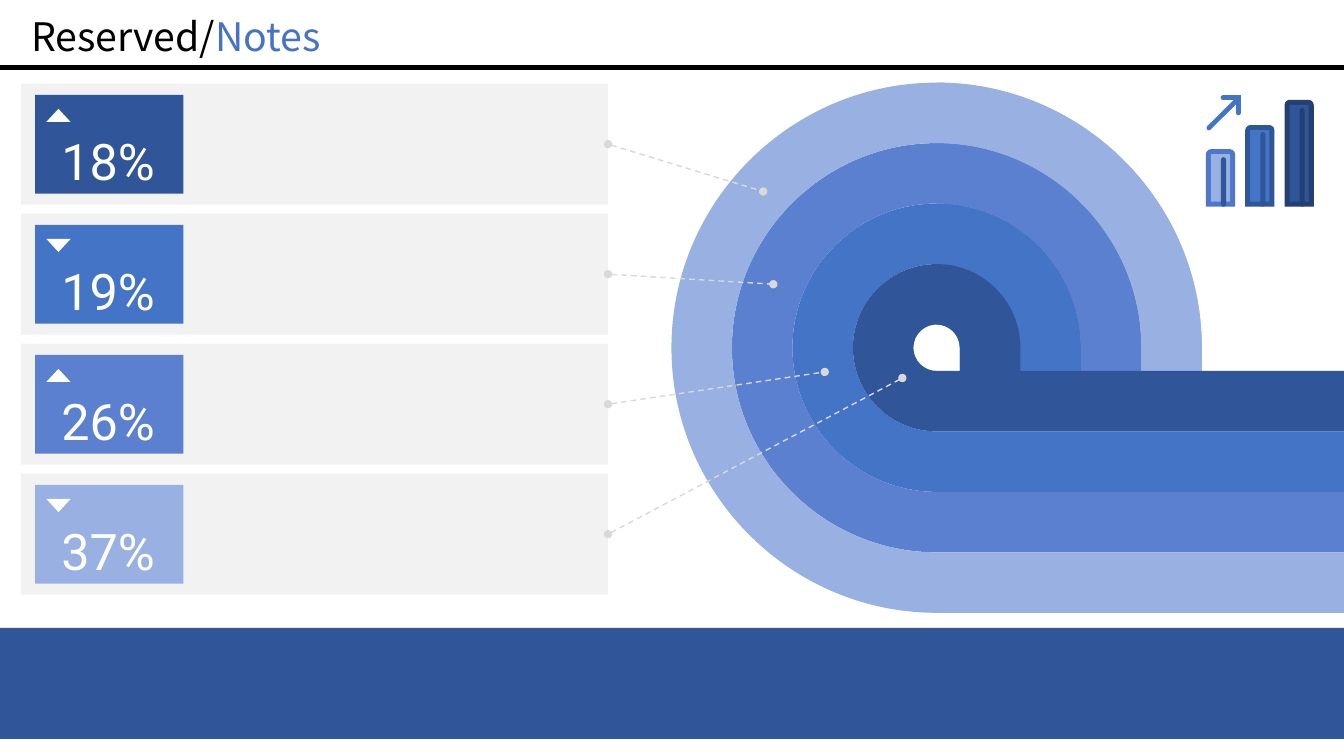
"""Build the Reserved/Notes slide: four percentage cards linked to nested loop bands."""
import lxml.etree
import pptx
import pptx.dml.color
import pptx.enum.dml
import pptx.enum.shapes
import pptx.enum.text
import pptx.oxml.ns
import pptx.util

Inches = pptx.util.Inches
RGBColor = pptx.dml.color.RGBColor
Shape = pptx.enum.shapes.MSO_SHAPE
qn = pptx.oxml.ns.qn

BLACK = RGBColor(0x00, 0x00, 0x00)
WHITE = RGBColor(0xFF, 0xFF, 0xFF)
CARD_GREY = RGBColor(0xF2, 0xF2, 0xF2)
LEADER_GREY = RGBColor(0xD9, 0xD9, 0xD9)
NAVY = RGBColor(0x30, 0x55, 0x98)
BLUE = RGBColor(0x44, 0x74, 0xC5)
PERIWINKLE = RGBColor(0x5B, 0x80, 0xD0)
PALE = RGBColor(0x99, 0xB0, 0xE3)
FRAME_DARK = RGBColor(0x24, 0x40, 0x72)
FRAME_MID = RGBColor(0x2F, 0x56, 0x98)
FRAME_LIGHT = RGBColor(0x4E, 0x76, 0xCF)

SLIDE_WIDTH = 13.33
ICON_STROKE = 3.4
LOOP_X, LOOP_Y = 9.29, 3.45
HOLE_RADIUS, BAND_WIDTH = 0.23, 0.6
ARM_END = LOOP_Y + HOLE_RADIUS
CURVE_PULL = 0.55
CARD_TOP, CARD_STEP = 0.83, 1.29
COMPASS = [(1, 0), (0, -1), (-1, 0), (0, 1)]

CARDS = [
    ("18%", NAVY, False, (7.57, 1.9)),
    ("19%", BLUE, True, (7.67, 2.82)),
    ("26%", PERIWINKLE, False, (8.18, 3.69)),
    ("37%", PALE, True, (8.95, 3.75)),
]
BARS = [
    (1.48, PALE, FRAME_LIGHT, 1.56, FRAME_MID),
    (1.24, BLUE, FRAME_MID, 1.31, FRAME_MID),
    (0.99, NAVY, FRAME_DARK, 1.07, FRAME_DARK),
]


def add_block(slide, kind, left, top, width, height, color):
    """Add a filled preset shape without outline."""
    block = slide.shapes.add_shape(
        kind, Inches(left), Inches(top), Inches(width), Inches(height))
    block.shadow.inherit = False
    block.fill.solid()
    block.fill.fore_color.rgb = color
    block.line.fill.background()
    return block


def add_outline(slide, points, close):
    """Add a freeform through points given in inches."""
    corners = [(Inches(x), Inches(y)) for x, y in points]
    builder = slide.shapes.build_freeform(*corners[0], scale=1.0)
    builder.add_line_segments(corners[1:], close=close)
    outline = builder.convert_to_shape()
    outline.shadow.inherit = False
    return outline


def add_curved(slide, pieces, color):
    """Add a filled outline whose pieces of 3n + 1 points are chains of curves."""
    points = [point for piece in pieces for point in piece]
    outline = add_outline(slide, points, True)
    outline.fill.solid()
    outline.fill.fore_color.rgb = color
    outline.line.fill.background()
    segments = list(outline._element.iter(qn("a:moveTo"), qn("a:lnTo")))
    position = 0
    for piece in pieces:
        for first in range(position + 1, position + len(piece), 3):
            curve = lxml.etree.Element(qn("a:cubicBezTo"))
            segments[first].addprevious(curve)
            for segment in segments[first:first + 3]:
                curve.append(segment[0])
                segment.getparent().remove(segment)
        position += len(piece)


def add_line(slide, start, end, color, weight):
    """Add a straight connector without shadow."""
    line = slide.shapes.add_connector(
        pptx.enum.shapes.MSO_CONNECTOR.STRAIGHT,
        Inches(start[0]), Inches(start[1]), Inches(end[0]), Inches(end[1]))
    line.line.color.rgb = color
    line.line.width = pptx.util.Pt(weight)
    lxml.etree.SubElement(line._element.spPr, qn("a:effectLst"))
    return line


def add_title(slide):
    """Fill the title and draw the rule under it."""
    title = slide.shapes.title
    title.left, title.top = Inches(0.21), Inches(0.07)
    title.width, title.height = Inches(4.75), Inches(0.57)
    frame = title.text_frame
    frame.word_wrap = False
    frame.auto_size = pptx.enum.text.MSO_AUTO_SIZE.NONE
    frame.vertical_anchor = pptx.enum.text.MSO_ANCHOR.MIDDLE
    heading = frame.paragraphs[0]
    heading.alignment = pptx.enum.text.PP_ALIGN.LEFT
    heading.font.size = pptx.util.Pt(28)
    heading.font.name = "Noto Sans CJK SC"
    for wording, color in (("Reserved/", BLACK), ("Notes", BLUE)):
        run = heading.add_run()
        run.text = wording
        run.font.color.rgb = color
    add_line(slide, (0, 0.67), (SLIDE_WIDTH, 0.67), BLACK, 3)


def arc(radius, quarters):
    """Return curve points from the loop's right side over the top, by quarter turns."""
    points = [(LOOP_X + radius, LOOP_Y)]
    for quarter in range(quarters):
        (ax, ay), (bx, by) = COMPASS[quarter], COMPASS[quarter + 1]
        for a, b in ((1, CURVE_PULL), (CURVE_PULL, 1), (0, 1)):
            points.append((LOOP_X + radius * (a * ax + b * bx),
                           LOOP_Y + radius * (a * ay + b * by)))
    return points


def add_band(slide, inner, color):
    """Add one loop band whose tail runs to the right edge."""
    outer = inner + BAND_WIDTH
    add_curved(slide, [
        [(LOOP_X + outer, ARM_END)], arc(outer, 3),
        [(SLIDE_WIDTH, LOOP_Y + outer)], [(SLIDE_WIDTH, LOOP_Y + inner)],
        arc(inner, 3)[::-1], [(LOOP_X + inner, ARM_END)]], color)


def add_arm(slide, inner, color):
    """Add the upper right arm that overlies a band."""
    outer = inner + BAND_WIDTH
    add_curved(slide, [
        [(LOOP_X + outer, ARM_END)], arc(outer, 1),
        arc(inner, 1)[::-1], [(LOOP_X + inner, ARM_END)]], color)


def add_loop(slide):
    """Draw the outer bands and their arms, then the core on top."""
    rings = [(HOLE_RADIUS + BAND_WIDTH * index, color)
             for index, color in enumerate((NAVY, BLUE, PERIWINKLE, PALE))]
    for group in (rings[1:], rings[:1]):
        for add_part in (add_band, add_arm):
            for inner, color in group:
                add_part(slide, inner, color)


def add_card(slide, top, percent, color, falling):
    """Add a card with its tile, trend marker and percentage."""
    card = add_block(slide, Shape.RECTANGLE, 0.21, top, 5.82, 1.2, CARD_GREY)
    add_block(slide, Shape.RECTANGLE, 0.35, top + 0.11, 1.47, 0.98, color)
    marker = add_block(
        slide, Shape.ISOSCELES_TRIANGLE, 0.46, top + 0.25, 0.24, 0.13, WHITE)
    marker.rotation = 180 if falling else 0
    label = slide.shapes.add_textbox(
        Inches(0.51), Inches(top + 0.29), Inches(1.15), Inches(0.77))
    label.text_frame.word_wrap = False
    label.text_frame.auto_size = pptx.enum.text.MSO_AUTO_SIZE.SHAPE_TO_FIT_TEXT
    figure = label.text_frame.paragraphs[0]
    figure.text = percent
    figure.alignment = pptx.enum.text.PP_ALIGN.JUSTIFY
    figure.line_spacing = 1.2
    figure.font.size = pptx.util.Pt(36)
    figure.font.name = "Roboto"
    figure.font.color.rgb = WHITE
    return card


def add_leader(slide, card, target):
    """Join a card's right side to its band with a dashed, dotted-end line."""
    leader = add_line(slide, (6.03, target[1]), target, LEADER_GREY, 1)
    leader.begin_connect(card, 3)
    leader.line.dash_style = pptx.enum.dml.MSO_LINE.DASH
    for end in ("a:headEnd", "a:tailEnd"):
        lxml.etree.SubElement(leader.line._get_or_add_ln(), qn(end), type="oval")


def add_growth_icon(slide):
    """Draw three rising bars and an arrow above them."""
    for index, (top, color, frame_color, stick_top, stick_color) in enumerate(BARS):
        left = 11.96 + 0.39 * index
        for inset, shade in ((0, frame_color), (0.05, color)):
            bar = add_block(slide, Shape.ROUND_2_SAME_RECTANGLE, left + inset, top + inset,
                            0.29 - 2 * inset, 2.05 - top - 2 * inset, shade)
            bar.adjustments[0] = 0.05 if inset else 0.18
        stick = add_block(slide, Shape.ROUNDED_RECTANGLE,
                          left + 0.15, stick_top, 0.05, 2.05 - stick_top, stick_color)
        stick.adjustments[0] = 0.5
    head = add_outline(slide, [(12.13, 0.97), (12.28, 0.97), (12.28, 1.12)], False)
    head.fill.background()
    head.line.color.rgb = BLUE
    head.line.width = pptx.util.Pt(ICON_STROKE)
    shaft = add_line(slide, (11.99, 1.27), (12.28, 0.98), BLUE, ICON_STROKE)
    for stroke in (head, shaft):
        stroke.line._get_or_add_ln().set("cap", "rnd")
    lxml.etree.SubElement(head.line._get_or_add_ln(), qn("a:miter"), lim="800000")


def main():
    """Compose and save the slide."""
    deck = pptx.Presentation()
    deck.slide_width, deck.slide_height = Inches(SLIDE_WIDTH), Inches(7.5)
    slide = deck.slides.add_slide(deck.slide_layouts[5])
    add_title(slide)
    add_loop(slide)
    cards = [add_card(slide, CARD_TOP + CARD_STEP * index, percent, color, falling)
             for index, (percent, color, falling, _) in enumerate(CARDS)]
    add_block(slide, Shape.RECTANGLE, 0, 6.23, SLIDE_WIDTH, 1.1, NAVY)
    for card, (_, _, _, target) in zip(cards, CARDS):
        add_leader(slide, card, target)
    add_growth_icon(slide)
    deck.save("out.pptx")


if __name__ == "__main__":
    main()
